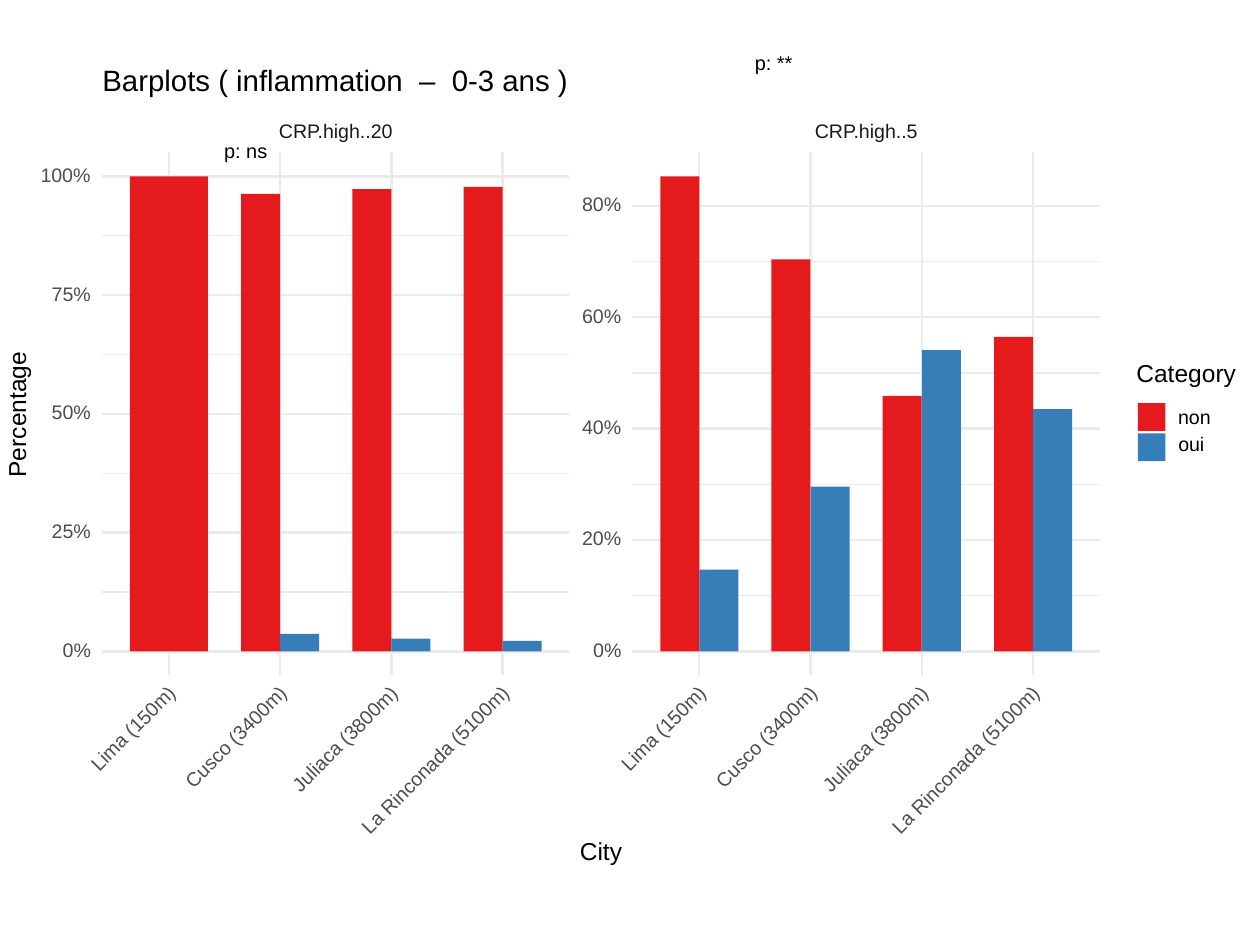
from dataclasses import dataclass
from math import cos, radians, sin

from lxml.etree import SubElement
from pptx import Presentation
from pptx.dml.color import RGBColor
from pptx.enum.shapes import MSO_CONNECTOR, MSO_SHAPE
from pptx.enum.text import MSO_ANCHOR, PP_ALIGN
from pptx.oxml.ns import qn
from pptx.util import Inches, Pt


@dataclass(frozen=True)
class Theme:
    font: str = "Arial"
    black: str = "000000"
    white: str = "FFFFFF"
    strip: str = "1A1A1A"
    axis: str = "4D4D4D"
    grid: str = "EBEBEB"
    non: str = "E41A1C"
    oui: str = "377EB8"
    label_size: float = 11.2
    test_size: float = 11.4
    heading_size: float = 14
    title_size: float = 16.8
    minor: float = 0.68
    major: float = 1.36


@dataclass(frozen=True)
class Box:
    left: float
    top: float
    width: float
    height: float


@dataclass(frozen=True)
class Panel:
    strip: str
    strip_width: float
    test: str
    test_width: float
    test_x: float
    test_y: float
    step: int
    last_tick: int
    peak: float
    bars: tuple


THEME = Theme()
CITIES = (
    ("Lima (150m)", 0.87),
    ("Cusco (3400m)", 1.06),
    ("Juliaca (3800m)", 1.11),
    ("La Rinconada (5100m)", 1.58),
)
TICK_WIDTHS = {2: 0.22, 3: 0.31, 4: 0.4}
TEXT_SLACK = 0.08
BASELINE = 3.96
PEAK_HEIGHT = 3.77
CITY_START = 0.53
CITY_STEP = 0.883
BAR_GROUP = 0.62

PANELS = (
    (Box(0.81, 1.21, 3.71, 4.15), Panel(
        "CRP.high..20", 0.93, "p: ns", 0.34, 1.14, 0, 25, 100, 100,
        ((100, None), (96.3, 3.7), (97.3, 2.7), (97.8, 2.2)))),
    (Box(5.02, 1.21, 3.71, 4.15), Panel(
        "CRP.high..5", 0.84, "p: **", 0.3, 1.12, -0.7, 20, 80, 85.3,
        ((85.3, 14.7), (70.4, 29.6), (45.9, 54.1), (56.5, 43.5)))),
)


def add_text(page, text, *, x, y, width, height=0.15, size=THEME.label_size,
             color=THEME.black, rotation=0):
    box_width = width + TEXT_SLACK
    label = page.shapes.add_textbox(
        Inches(x - box_width / 2), Inches(y - height / 2),
        Inches(box_width), Inches(height))
    label.rotation = rotation
    frame = label.text_frame
    frame.word_wrap = False
    frame.vertical_anchor = MSO_ANCHOR.MIDDLE
    frame.margin_left = frame.margin_right = 0
    frame.margin_top = frame.margin_bottom = 0
    para = frame.paragraphs[0]
    para.alignment = PP_ALIGN.CENTER
    para.line_spacing = Pt(size)
    span = para.add_run()
    span.text = text
    span.font.name = THEME.font
    span.font.size = Pt(size)
    span.font.color.rgb = RGBColor.from_string(color)


def add_block(page, box, color):
    block = page.shapes.add_shape(
        MSO_SHAPE.RECTANGLE, Inches(box.left), Inches(box.top),
        Inches(box.width), Inches(box.height))
    block.shadow.inherit = False
    block.fill.solid()
    block.fill.fore_color.rgb = RGBColor.from_string(color)
    block.line.fill.background()


def add_grid_line(page, start, end, weight):
    line = page.shapes.add_connector(
        MSO_CONNECTOR.STRAIGHT, *(Inches(value) for value in (*start, *end)))
    line.line.color.rgb = RGBColor.from_string(THEME.grid)
    line.line.width = Pt(weight)
    SubElement(line._element.spPr, qn("a:effectLst"))


def add_panel(page, box, panel):
    right, bottom = box.left + box.width, box.top + box.height
    baseline = box.top + BASELINE
    unit = PEAK_HEIGHT / panel.peak
    ticks = range(0, panel.last_tick + 1, panel.step)
    centers = [box.left + CITY_START + CITY_STEP * index for index in range(len(CITIES))]

    half_ticks = [tick + panel.step / 2 for tick in ticks[:-1]]
    for values, weight in ((half_ticks, THEME.minor), (ticks, THEME.major)):
        for value in values:
            y = baseline - value * unit
            add_grid_line(page, (box.left, y), (right, y), weight)
    for x in centers:
        add_grid_line(page, (x, bottom), (x, box.top), THEME.major)

    for x, values in zip(centers, panel.bars):
        shares = [value for value in values if value is not None]
        width = BAR_GROUP / len(shares)
        for index, (share, color) in enumerate(zip(shares, (THEME.non, THEME.oui))):
            height = share * unit
            left = x - BAR_GROUP / 2 + index * width
            add_block(page, Box(left, baseline - height, width, height), color)

    add_text(page, panel.test, x=box.left + panel.test_x, y=box.top + panel.test_y,
             width=panel.test_width, size=THEME.test_size)
    add_text(page, panel.strip, x=box.left + box.width / 2, y=box.top - 0.16,
             width=panel.strip_width, color=THEME.strip)

    slant = radians(45)
    for x, (city, width) in zip(centers, CITIES):
        add_text(page, city, x=x + 0.03 - width / 2 * cos(slant),
                 y=bottom + 0.12 + width / 2 * sin(slant), width=width,
                 color=THEME.axis, rotation=315)
    for tick in ticks:
        text = f"{tick}%"
        width = TICK_WIDTHS[len(text)]
        add_text(page, text, x=box.left - 0.09 - width / 2, y=baseline - tick * unit,
                 width=width, height=0.11, color=THEME.axis)


def add_legend(page, box):
    add_text(page, "Category", x=box.left + box.width / 2, y=box.top + 0.1,
             width=box.width, height=0.19, size=THEME.heading_size)
    entries = (("non", 0.26, THEME.non), ("oui", 0.21, THEME.oui))
    for index, (name, width, color) in enumerate(entries):
        add_block(page, Box(box.left + 0.01, box.top + 0.32 + 0.24 * index, 0.22, 0.22), color)
        add_text(page, name, x=box.left + 0.33 + width / 2,
                 y=box.top + 0.44 + 0.22 * index, width=width, height=0.11)


def add_titles(page, box):
    add_text(page, "City", x=box.left + 4.77, y=box.top + 6.27, width=0.33,
             height=0.18, size=THEME.heading_size)
    add_text(page, "Percentage", x=box.left + 0.15, y=box.top + 2.79, width=0.99,
             height=0.18, size=THEME.heading_size, rotation=270)
    add_text(page, "Barplots ( inflammation  –  0-3 ans )", x=box.left + 2.66,
             y=box.top + 0.16, width=3.7, height=0.22, size=THEME.title_size)


def main():
    deck = Presentation()
    deck.slide_width, deck.slide_height = Inches(10), Inches(7.5)
    page = deck.slides.add_slide(deck.slide_layouts[6])
    figure = Box(0, 0.5, 10, 6.5)
    add_block(page, figure, THEME.white)
    for box, panel in PANELS:
        add_panel(page, box, panel)
    add_titles(page, figure)
    add_legend(page, Box(9.02, 2.88, 0.79, 0.78))
    deck.save("out.pptx")


if __name__ == "__main__":
    main()
